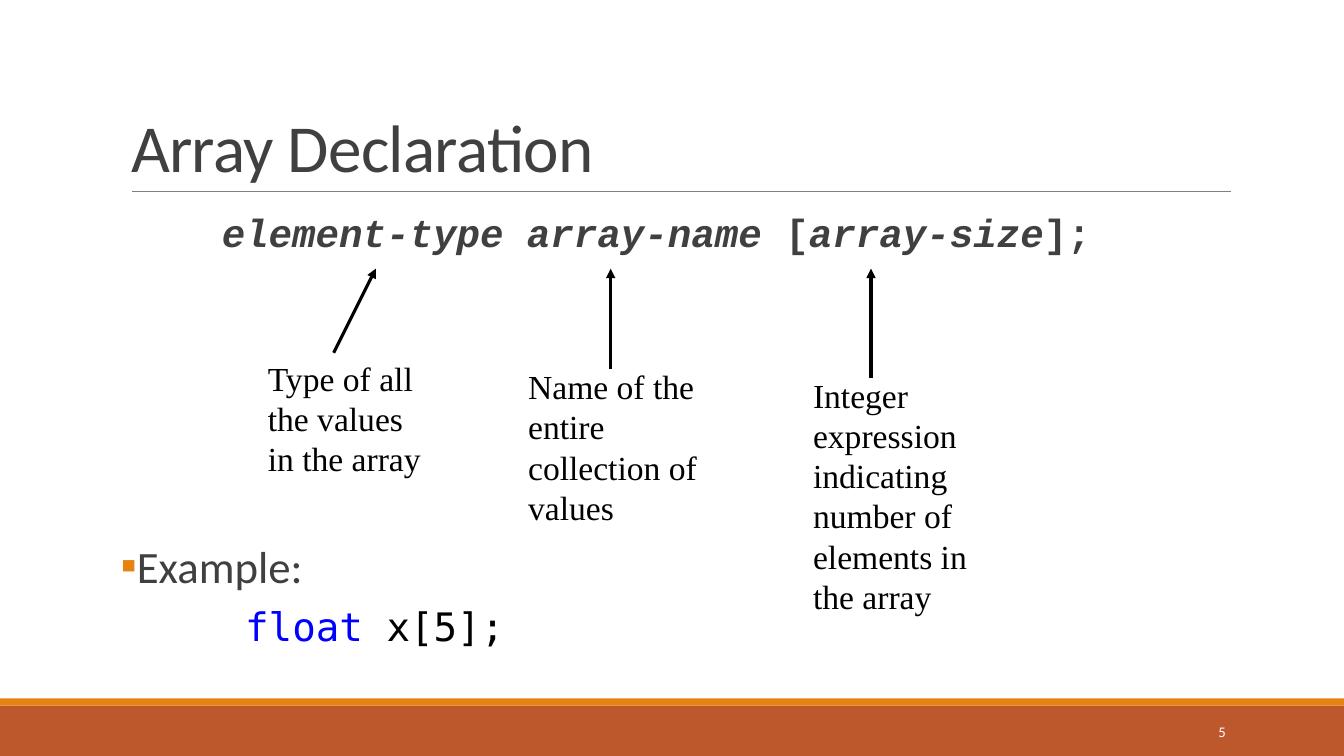
import pptx
import pptx.dml.color
import pptx.enum.shapes
import pptx.enum.text
import pptx.oxml
import pptx.oxml.ns
import pptx.util
from pptx.util import Cm, Pt

ANCHOR = pptx.enum.text.MSO_ANCHOR
ALIGN = pptx.enum.text.PP_ALIGN

SLIDE_WIDTH, SLIDE_HEIGHT = 33.87, 19.05
GREY, BLACK, ORANGE, RUST = "404040", "000000", "E48312", "BD582C"

# text, italic
DECLARATION = [
    ("element-type array-name", True),
    (" [", False),
    ("array-size", True),
    ("];", False),
]
# text, colour
EXAMPLE_CODE = [("float", "0000FF"), (" x[5];", BLACK)]
# text, left, top, width, height, arrow start (x, y), arrow tip x; in cm
CALLOUTS = [
    ("Type of all the values in the array",
     6.5, 8.89, 4.66, 3.3, (8.41, 8.89), 9.47),
    ("Name of the entire collection of values",
     13.06, 9.1, 5.5, 4.32, (15.39, 9.3), 15.39),
    ("Integer expression indicating number of elements in the array",
     20.24, 9.31, 5.5, 6.35, (21.95, 9.53), 21.95),
]
ARROW_TIP_Y = 6.77
# top, height, colour
FOOTER_BARS = [(17.78, 1.27, RUST), (17.6, 0.18, ORANGE)]


def rgb(value):
    return pptx.dml.color.RGBColor.from_string(value)


def add_run(paragraph, text, font, size, color, bold=False, italic=False):
    run = paragraph.add_run()
    run.text = text
    run.font.name = font
    run.font.size = Pt(size)
    run.font.bold = bold
    run.font.italic = italic
    run.font.color.rgb = rgb(color)
    return run


def add_text_box(slide, left, top, width, height, side_inset=0.25):
    """Add a wrapping text box and return its text frame."""
    box = slide.shapes.add_textbox(Cm(left), Cm(top), Cm(width), Cm(height))
    frame = box.text_frame
    frame.word_wrap = True
    frame.margin_left = frame.margin_right = Cm(side_inset)
    return frame


def add_line(slide, start, end, color, width, arrow=False):
    line = slide.shapes.add_connector(
        pptx.enum.shapes.MSO_CONNECTOR.STRAIGHT,
        *(Cm(value) for value in (*start, *end)))
    line.line.color.rgb = rgb(color)
    line.line.width = Pt(width)
    if arrow:
        line.line._get_or_add_ln().append(pptx.oxml.parse_xml(
            f'<a:tailEnd {pptx.oxml.ns.nsdecls("a")} type="triangle"/>'))
    line._element.spPr.append(pptx.oxml.parse_xml(
        f'<a:effectLst {pptx.oxml.ns.nsdecls("a")}/>'))


def add_bullet(paragraph, symbol, color, indent):
    properties = paragraph._p.get_or_add_pPr()
    properties.set("marL", str(Cm(indent)))
    properties.set("indent", str(-Cm(indent)))
    namespace = pptx.oxml.ns.nsdecls("a")
    for xml in (
        f'<a:buClr {namespace}><a:srgbClr val="{color}"/></a:buClr>',
        f'<a:buFont {namespace} typeface="Calibri"/>',
        f'<a:buChar {namespace} char="{symbol}"/>',
    ):
        properties.append(pptx.oxml.parse_xml(xml))


def add_footer(slide):
    for top, height, color in FOOTER_BARS:
        bar = slide.shapes.add_shape(
            pptx.enum.shapes.MSO_SHAPE.RECTANGLE,
            0, Cm(top), Cm(SLIDE_WIDTH), Cm(height))
        bar.shadow.inherit = False
        bar.fill.solid()
        bar.fill.fore_color.rgb = rgb(color)
        bar.line.fill.background()
    frame = add_text_box(slide, 27.51, 17.93, 3.63, 1.02)
    frame.vertical_anchor = ANCHOR.MIDDLE
    frame.paragraphs[0].alignment = ALIGN.RIGHT
    add_run(frame.paragraphs[0], "5", "Calibri", 10.5, "FFFFFF")


def add_title(slide):
    title = slide.shapes.title
    title.left, title.top = Cm(3.05), Cm(0.79)
    title.width, title.height = Cm(27.94), Cm(4.04)
    frame = title.text_frame
    frame.vertical_anchor = ANCHOR.BOTTOM
    frame.auto_size = pptx.enum.text.MSO_AUTO_SIZE.NONE
    paragraph = frame.paragraphs[0]
    paragraph.alignment = ALIGN.LEFT
    paragraph.line_spacing = 0.85
    run = add_run(paragraph, "Array Declaration", "Calibri", 48, GREY)
    run.font._element.set("spc", "-50")
    add_line(slide, (3.33, 4.83), (31.01, 4.83), "808080", 0.5)


def add_declaration(slide):
    frame = add_text_box(slide, 5.59, 5.13, 25.4, 1.4, side_inset=0)
    for text, italic in DECLARATION:
        add_run(frame.paragraphs[0], text, "Courier New", 28, GREY, True, italic)


def add_callouts(slide):
    for text, left, top, width, height, start, tip_x in CALLOUTS:
        frame = add_text_box(slide, left, top, width, height)
        add_run(frame.paragraphs[0], text, "Times New Roman", 24, BLACK)
        add_line(slide, start, (tip_x, ARROW_TIP_Y), BLACK, 2.25, arrow=True)


def add_example(slide):
    frame = add_text_box(slide, 3.05, 13.7, 15, 3.2, side_inset=0)
    heading = frame.paragraphs[0]
    add_bullet(heading, "▪", ORANGE, 0.25)
    add_run(heading, "Example:", "Calibri", 32, GREY)

    code = frame.add_paragraph()
    code._p.get_or_add_pPr().set("marL", str(Cm(3.13)))
    code.space_before = Pt(12)
    for text, color in EXAMPLE_CODE:
        add_run(code, text, "DejaVu Sans Mono", 28, color)

    for paragraph in frame.paragraphs:
        paragraph.line_spacing = 0.8
        paragraph.space_after = Pt(2)


def main():
    presentation = pptx.Presentation()
    presentation.slide_width = Cm(SLIDE_WIDTH)
    presentation.slide_height = Cm(SLIDE_HEIGHT)
    slide = presentation.slides.add_slide(presentation.slide_layouts[5])
    add_footer(slide)
    add_title(slide)
    add_declaration(slide)
    add_example(slide)
    add_callouts(slide)
    presentation.save("out.pptx")


if __name__ == "__main__":
    main()
